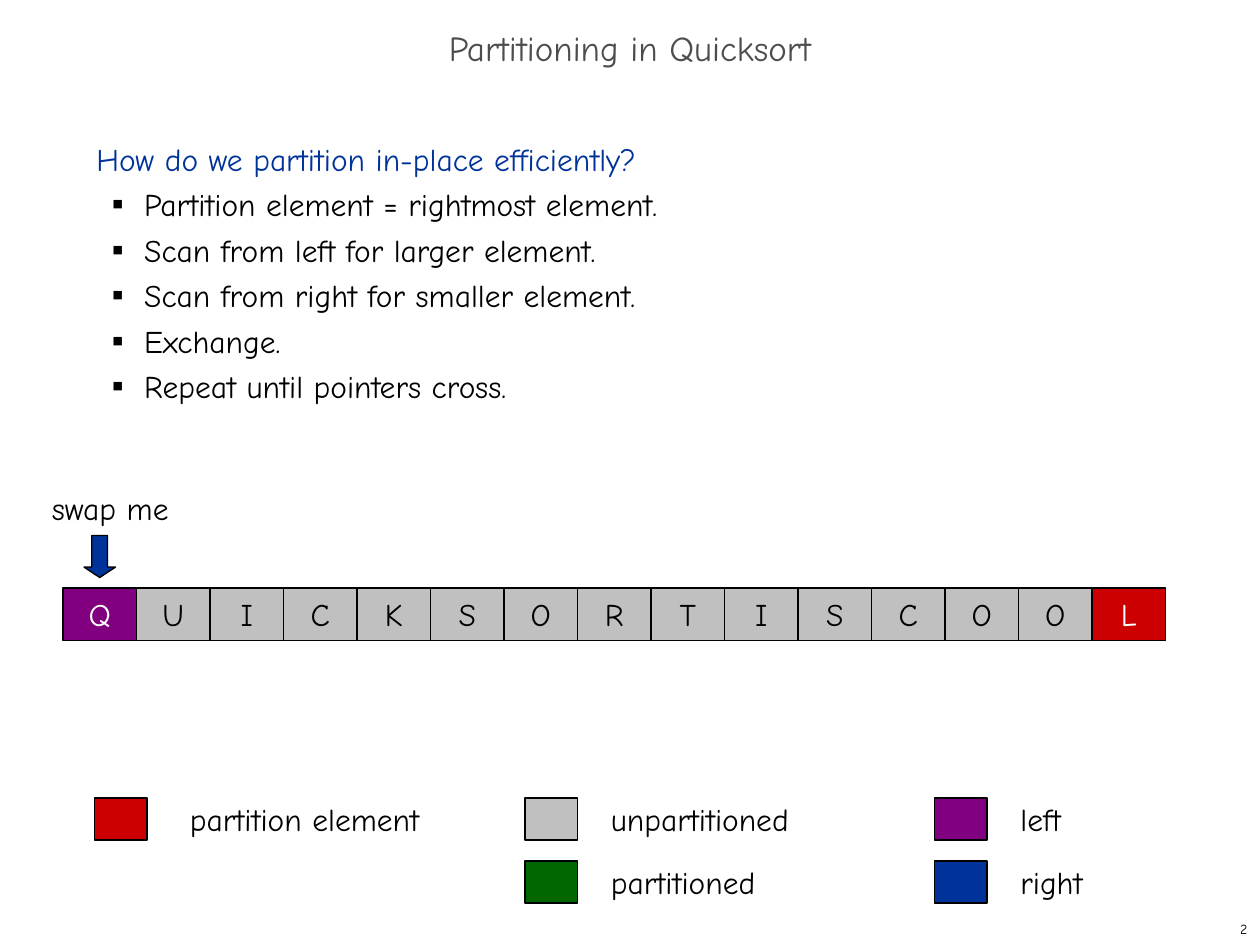
from dataclasses import dataclass

from lxml.etree import SubElement
from pptx import Presentation
from pptx.dml.color import RGBColor
from pptx.enum.shapes import MSO_SHAPE
from pptx.enum.text import MSO_ANCHOR, MSO_AUTO_SIZE, PP_ALIGN
from pptx.oxml.ns import qn
from pptx.slide import Slide
from pptx.util import Inches, Pt

PX = Inches(1) // 120

COLORS = {
    "black": "000000",
    "white": "FFFFFF",
    "title": "4D4D4D",
    "partition": "CC0000",
    "unpartitioned": "C0C0C0",
    "partitioned": "006600",
    "left": "800080",
    "right": "003399",
}

STEPS = [
    "Partition element = rightmost element.",
    "Scan from left for larger element.",
    "Scan from right for smaller element.",
    "Exchange.",
    "Repeat until pointers cross.",
]

LETTERS = "QUICKSORTISCOOL"
CELL_WIDTH = 70

LEGEND = [
    (90, 760, "partition", "partition element", 260, PP_ALIGN.CENTER),
    (500, 760, "unpartitioned", "unpartitioned", 260, PP_ALIGN.LEFT),
    (500, 820, "partitioned", "partitioned", 260, PP_ALIGN.LEFT),
    (890, 760, "left", "left", 130, PP_ALIGN.LEFT),
    (890, 820, "right", "right", 130, PP_ALIGN.LEFT),
]


def color(name):
    return RGBColor.from_string(COLORS[name])


def set_values(target, values):
    for name, value in values.items():
        setattr(target, name, value)


@dataclass
class Painter:
    page: Slide
    font: str = "Comic Neue"
    size: int = 18

    def place(self, *lengths):
        return [length * PX for length in lengths]

    def frame(self, box, anchor):
        set_values(box.text_frame, {
            "word_wrap": True,
            "auto_size": MSO_AUTO_SIZE.NONE,
            "vertical_anchor": anchor,
        })
        return box.text_frame

    def add_text(self, para, text, ink="black", size=None, **layout):
        set_values(para, layout)
        span = para.add_run()
        span.text = text
        set_values(span.font, {"name": self.font, "size": Pt(size or self.size)})
        span.font.color.rgb = color(ink)

    def title(self, text, left, top, width, height):
        box = self.page.shapes.title
        bounds = self.place(left, top, width, height)
        set_values(box, dict(zip(("left", "top", "width", "height"), bounds)))
        para = self.frame(box, MSO_ANCHOR.MIDDLE).paragraphs[0]
        self.add_text(para, text, "title", 20,
                      alignment=PP_ALIGN.CENTER, line_spacing=0.7)

    def label(self, text, left, top, width, height,
              alignment=PP_ALIGN.LEFT, anchor=MSO_ANCHOR.MIDDLE, size=None):
        box = self.page.shapes.add_textbox(*self.place(left, top, width, height))
        para = self.frame(box, anchor).paragraphs[0]
        self.add_text(para, text, size=size, alignment=alignment)

    def shape(self, kind, fill, left, top, width, height):
        box = self.page.shapes.add_shape(kind, *self.place(left, top, width, height))
        box.shadow.inherit = False
        box.fill.solid()
        box.fill.fore_color.rgb = color(fill)
        box.line.color.rgb = color("black")
        box.line.width = Pt(0.75)
        return box

    def cell(self, letter, fill, ink, left, top, width, height):
        box = self.shape(MSO_SHAPE.RECTANGLE, fill, left, top, width, height)
        para = self.frame(box, MSO_ANCHOR.MIDDLE).paragraphs[0]
        self.add_text(para, letter, ink, alignment=PP_ALIGN.CENTER)

    def bullet(self, para):
        properties = para._p.get_or_add_pPr()
        properties.set("marL", str(Inches(0.38)))
        properties.set("indent", str(Inches(-0.25)))
        tint = SubElement(properties, qn("a:buClr"))
        SubElement(tint, qn("a:srgbClr"), val=COLORS["black"])
        SubElement(properties, qn("a:buSzPct"), val="35000")
        SubElement(properties, qn("a:buFont"), typeface=self.font)
        SubElement(properties, qn("a:buChar"), char="■")

    def outline(self, heading, items, left, top, width, height):
        box = self.page.shapes.add_textbox(*self.place(left, top, width, height))
        frame = self.frame(box, MSO_ANCHOR.TOP)
        self.add_text(frame.paragraphs[0], heading, "right", line_spacing=Pt(26))
        for item in items:
            para = frame.add_paragraph()
            self.bullet(para)
            self.add_text(para, item, line_spacing=Pt(26))


def main():
    deck = Presentation()
    set_values(deck, {"slide_width": Inches(10), "slide_height": Inches(7.5)})
    layout = deck.slide_layouts.get_by_name("Title Only")
    painter = Painter(deck.slides.add_slide(layout))

    painter.title("Partitioning in Quicksort", 0, 20, 1200, 60)
    painter.outline("How do we partition in-place efficiently?", STEPS,
                    80, 120, 1030, 320)

    painter.label("swap me", 20, 460, 170, 48, PP_ALIGN.CENTER, MSO_ANCHOR.TOP)
    arrow = painter.shape(MSO_SHAPE.DOWN_ARROW, "right", 80, 510, 30, 40)
    arrow.adjustments[0] = 0.5
    arrow.adjustments[1] = 0.33

    ends = {0: "left", len(LETTERS) - 1: "partition"}
    for index, letter in enumerate(LETTERS):
        painter.cell(letter, ends.get(index, "unpartitioned"),
                     "white" if index in ends else "black",
                     60 + index * CELL_WIDTH, 560, CELL_WIDTH, 50)

    for left, top, fill, text, width, alignment in LEGEND:
        painter.shape(MSO_SHAPE.RECTANGLE, fill, left, top, 50, 40)
        painter.label(text, left + 70, top, width, 40, alignment)

    painter.label("2", 950, 870, 250, 30, PP_ALIGN.RIGHT, size=8)
    deck.save("out.pptx")


if __name__ == "__main__":
    main()
